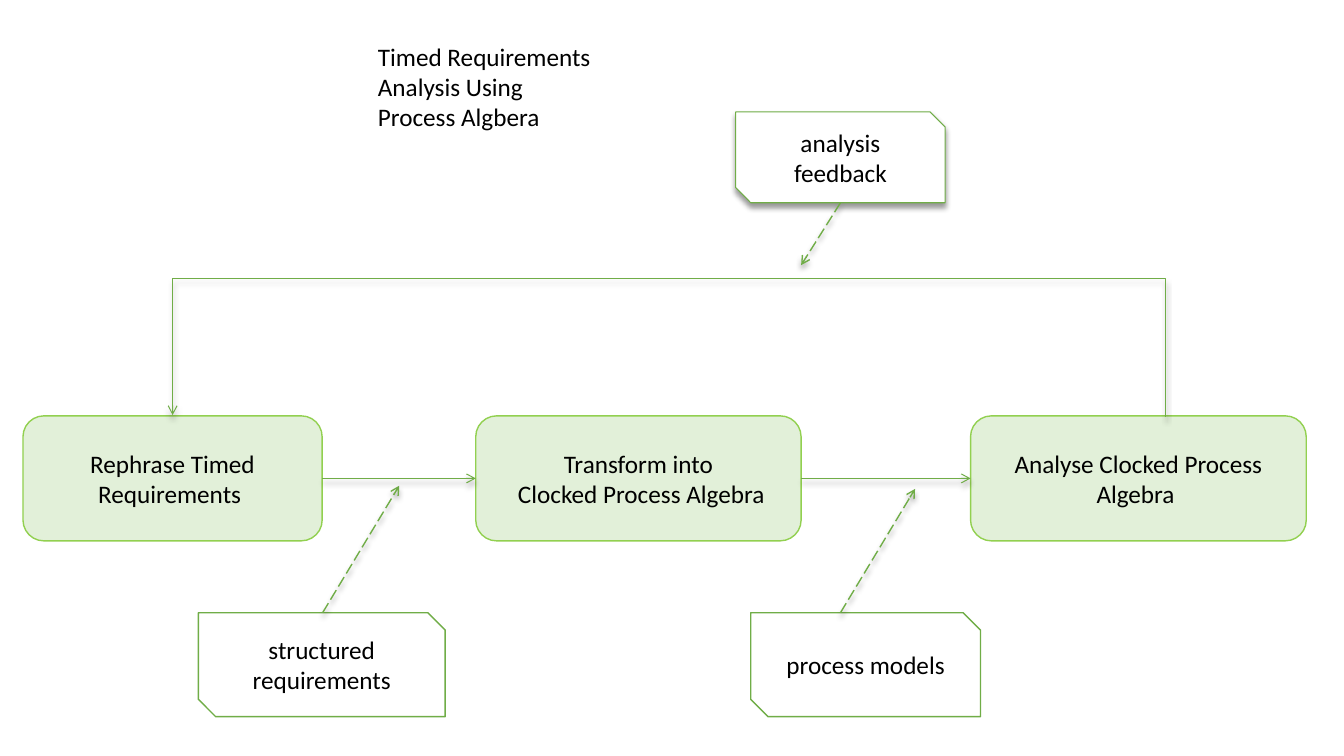
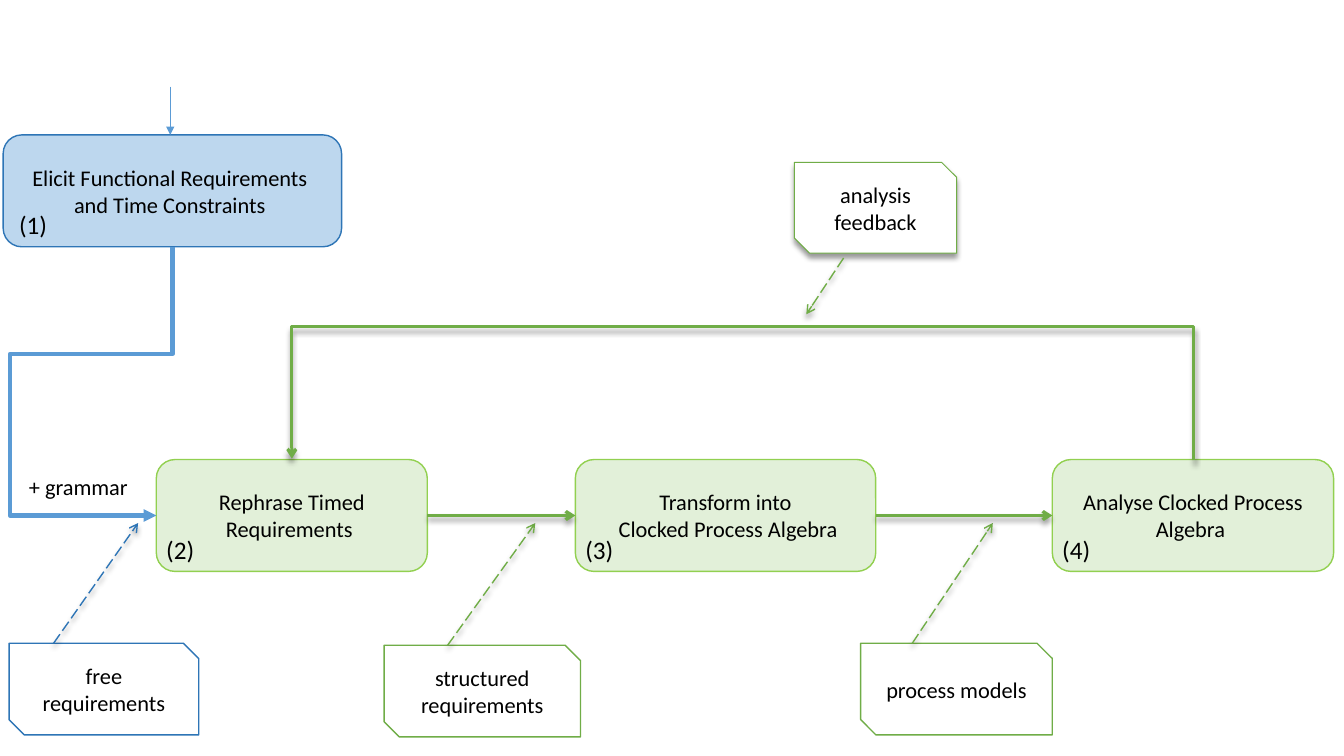
from lxml import etree
from pptx import Presentation
from pptx.dml.color import RGBColor
from pptx.enum.dml import MSO_LINE
from pptx.enum.shapes import MSO_CONNECTOR, MSO_SHAPE
from pptx.enum.text import MSO_ANCHOR, MSO_AUTO_SIZE, PP_ALIGN
from pptx.oxml import parse_xml
from pptx.oxml.ns import nsdecls, qn
from pptx.util import Cm, Pt

ROUNDED, SNIPPED = MSO_SHAPE.ROUNDED_RECTANGLE, MSO_SHAPE.SNIP_2_DIAG_RECTANGLE
STRAIGHT, ELBOW = MSO_CONNECTOR.STRAIGHT, MSO_CONNECTOR.ELBOW
CENTER, LEFT = PP_ALIGN.CENTER, PP_ALIGN.LEFT
TOP, MIDDLE = MSO_ANCHOR.TOP, MSO_ANCHOR.MIDDLE
GROW, FIXED = MSO_AUTO_SIZE.SHAPE_TO_FIT_TEXT, MSO_AUTO_SIZE.NONE
LONG_DASH = MSO_LINE.LONG_DASH

FONT = "Calibri"
COLORS = {"text": "000000", "note": "FFFFFF", "step": "E2F0D9", "step_edge": "92D050",
          "green": "70AD47", "elicit": "BDD7EE", "blue": "2E75B6", "flow_blue": "5B9BD5"}

# Content; all lengths in centimetres
TITLE = ["Timed Requirements Analysis Using Process Algbera"]
STEPS = [["Rephrase Timed Requirements "],
         ["Transform into", " Clocked Process Algebra"],
         ["Analyse Clocked Process Algebra "]]
ELICIT = ["Elicit Functional Requirements ", "and Time Constraints "]
STRUCTURED, FEEDBACK, MODELS, FREE = (
    "structured requirements", "analysis feedback", "process models", "free requirements")

# spans: (left, width) of each step; notes: text, box, pointer start, pointer end, colour
OVERVIEW = {
    "size": 18, "top": 10.48, "height": 3.15, "flow": 0.75,
    "spans": [(0.58, 7.54), (11.99, 8.2), (24.46, 8.46)],
    "loop_x": 29.36, "loop_y": 7.01,
    "notes": [
        (STRUCTURED, (5, 15.44, 6.22, 2.62), (8.13, 15.44), (10.06, 12.24), "green"),
        (FEEDBACK, (18.54, 2.82, 5.28, 2.29), (21.18, 5.11), (20.19, 6.68), "green"),
        (MODELS, (18.92, 15.44, 5.79, 2.62), (21.18, 15.44), (23.06, 12.32), "green")]}
DETAIL = {
    "size": 16, "top": 11.58, "height": 2.82, "flow": 2.25,
    "spans": [(3.94, 6.83), (14.5, 7.57), (26.52, 7.09)],
    "loop_x": 30.07, "loop_y": 8.23,
    "notes": [
        (STRUCTURED, (9.68, 16.26, 4.95, 2.31), (11.28, 16.26), (13.49, 13.18), "green"),
        (FEEDBACK, (20.02, 4.09, 4.09, 2.29), (21.26, 6.5), (20.32, 7.92), "green"),
        (MODELS, (21.69, 16.21, 4.83, 2.31), (22.99, 16.21), (25.02, 13.18), "green"),
        (FREE, (0.23, 16.21, 4.78, 2.31), (1.35, 16.21), (3.48, 13.18), "blue")]}


def rgb(name):
    """Return a palette colour."""
    return RGBColor.from_string(COLORS[name])


def write(s, lines, size, align=LEFT, anchor=TOP, auto_size=FIXED, wrap=True):
    """Fill a shape with one paragraph per line."""
    tf = s.text_frame
    tf.word_wrap, tf.auto_size, tf.vertical_anchor = wrap, auto_size, anchor
    tf.text = "\n".join(lines)
    for p in tf.paragraphs:
        p.alignment = align
        p.font.name, p.font.size, p.font.color.rgb = FONT, Pt(size), rgb("text")


def cast_shadow(s):
    """Give a shape or connector a soft shadow below it."""
    s._element.spPr.append(parse_xml(
        f'<a:effectLst {nsdecls("a")}><a:outerShdw blurRad="{Pt(4)}" dist="{Pt(3)}" '
        'dir="5400000" algn="ctr" rotWithShape="0"><a:srgbClr val="000000">'
        '<a:alpha val="40000"/></a:srgbClr></a:outerShdw></a:effectLst>'))


def add_box(slide, preset, box, lines, size, fill, edge, width=1.0, shadow=False):
    """Add an outlined box with centred text."""
    s = slide.shapes.add_shape(preset, *map(Cm, box))
    s.fill.solid()
    s.fill.fore_color.rgb = rgb(fill)
    s.line.color.rgb, s.line.width = rgb(edge), Pt(width)
    if shadow:
        cast_shadow(s)
    else:
        s.shadow.inherit = False
    write(s, lines, size, CENTER, MIDDLE)


def add_label(slide, box, text, size, wrap=True):
    """Add a plain text label."""
    s = slide.shapes.add_textbox(*map(Cm, box))
    write(s, [text], size, auto_size=GROW, wrap=wrap)


def add_arrow(slide, start, end, color, width, head="arrow", dash=None, kind=STRAIGHT):
    """Add an arrow; open heads come with a shadow, solid ones without."""
    s = slide.shapes.add_connector(kind, *map(Cm, start + end))
    s.line.color.rgb, s.line.width = rgb(color), Pt(width)
    if dash:
        s.line.dash_style = dash
    etree.SubElement(s.line._get_or_add_ln(), qn("a:tailEnd"), type=head)
    if head == "arrow":
        cast_shadow(s)
    else:
        etree.SubElement(s._element.spPr, qn("a:effectLst"))
    return s


def add_elbow(slide, start, end, turn, flip, preset, bends, color, width, head):
    """Add a bent arrow that leaves vertically; bends are lengths along its own axes."""
    s = add_arrow(slide, start, end, color, width, head, kind=ELBOW)
    across, down = abs(end[0] - start[0]), abs(end[1] - start[1])
    s.left = Cm((start[0] + end[0] - down) / 2)
    s.top = Cm((start[1] + end[1] - across) / 2)
    s.width, s.height = Cm(down), Cm(across)
    xfrm = s._element.spPr.find(qn("a:xfrm"))
    for name in ("flipH", "flipV"):
        xfrm.attrib.pop(name, None)
    xfrm.set("rot", str(turn * 60000))
    if flip:
        xfrm.set("flipV", "1")
    geom = s._element.spPr.find(qn("a:prstGeom"))
    geom.set("prst", preset)
    guides = geom.find(qn("a:avLst"))
    for i, (bend, side) in enumerate(zip(bends, (down, across)), 1):
        etree.SubElement(guides, qn("a:gd"), name=f"adj{i}",
                         fmla=f"val {round(bend / side * 100000)}")


def add_process(slide, d):
    """Draw the three steps, their flow, the feedback loop and the notes."""
    top, height, spans = d["top"], d["height"], d["spans"]
    middle = top + height / 2
    for text, box, start, end, color in d["notes"]:
        raised = text == FEEDBACK
        add_box(slide, SNIPPED, box, [text], d["size"], "note", color,
                0.75 if raised else 1, raised)
        add_arrow(slide, start, end, color, 1, dash=LONG_DASH)
    for (left, width), lines in zip(spans, STEPS):
        add_box(slide, ROUNDED, (left, top, width, height), lines, d["size"],
                "step", "step_edge")
    for (left, width), (following, _) in zip(spans, spans[1:]):
        add_arrow(slide, (left + width, middle), (following, middle), "green", d["flow"])
    start = (d["loop_x"], top + 0.02)
    end = (spans[0][0] + spans[0][1] / 2, top - 0.02)
    add_elbow(slide, start, end, 270, True, "bentConnector3",
              [start[1] - d["loop_y"]], "green", d["flow"], "arrow")


def add_elicitation(slide, d):
    """Draw the first step, its arrows and the step numbers."""
    left, top, width, height = box = (0.08, 3.4, 8.53, d["height"])
    add_box(slide, ROUNDED, box, ELICIT, d["size"], "elicit", "blue")
    add_arrow(slide, (4.29, 2.18), (4.29, top), "flow_blue", 0.5, "triangle")
    start = (left + width / 2, top + height)
    end = (d["spans"][0][0], d["top"] + d["height"] / 2)
    add_elbow(slide, start, end, 90, False, "bentConnector4",
              [8.92 - start[1], start[0] - 0.25], "flow_blue", 3, "triangle")
    add_label(slide, (0.48, 11.81, 3.02, 0.94), "+ grammar", d["size"], wrap=False)
    corners = [(0.23, top)] + [(x, d["top"]) for x, _ in d["spans"]]
    for number, (x, y) in enumerate(corners, 1):
        add_label(slide, (x, y + 1.76, 1.78, 1.02), f"({number})", 18)


prs = Presentation()
prs.slide_width, prs.slide_height = Cm(33.87), Cm(19.05)

overview = prs.slides.add_slide(prs.slide_layouts[5])
title = overview.shapes.title
title.left, title.top, title.width, title.height = map(Cm, (9.27, 0.91, 5.92, 2.57))
write(title, TITLE, OVERVIEW["size"], auto_size=GROW)
add_process(overview, OVERVIEW)

detail = prs.slides.add_slide(prs.slide_layouts[6])
add_process(detail, DETAIL)
add_elicitation(detail, DETAIL)

prs.save("out.pptx")
